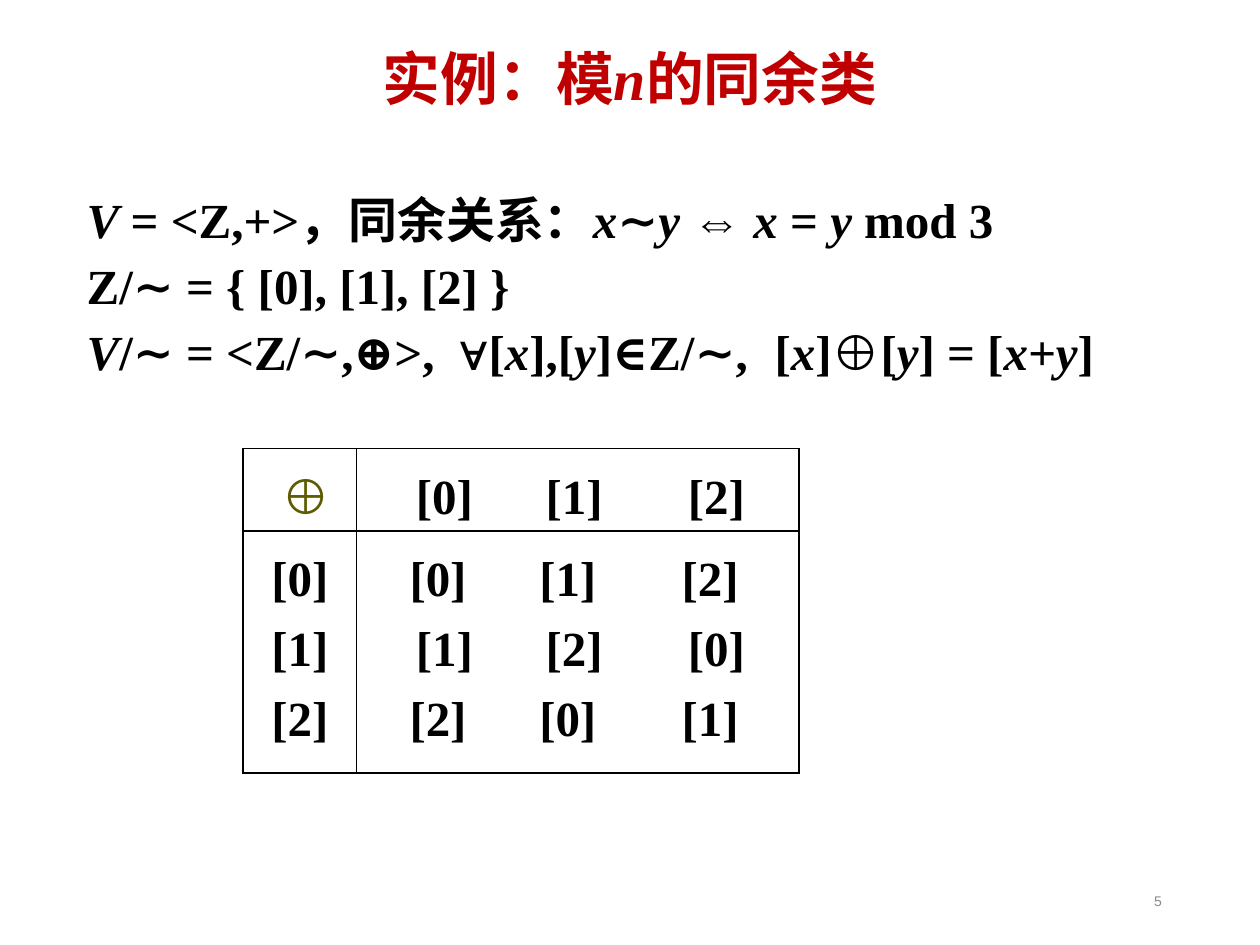
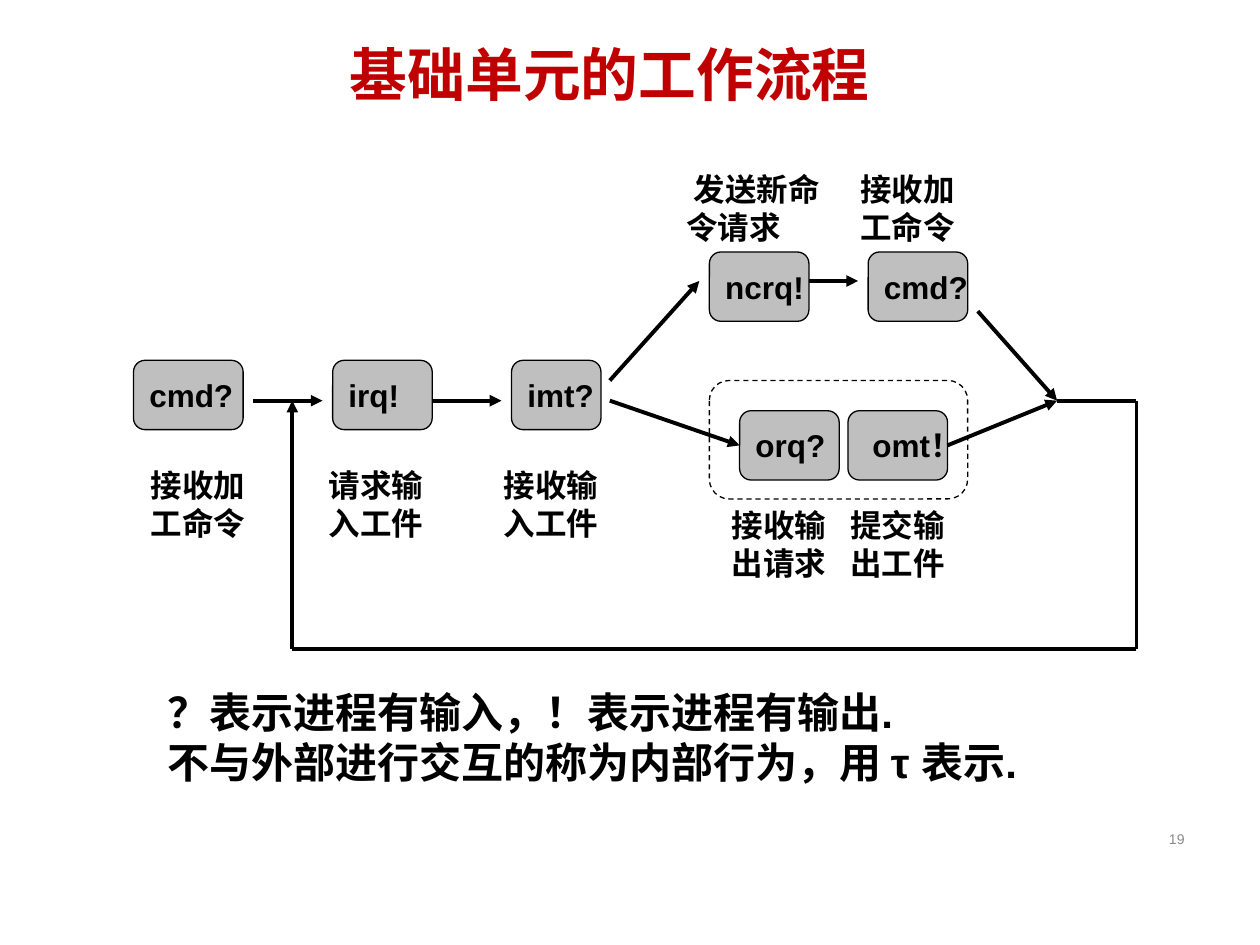
from dataclasses import dataclass
from itertools import pairwise

from lxml.etree import SubElement
from pptx import Presentation
from pptx.dml.color import RGBColor
from pptx.enum.dml import MSO_LINE
from pptx.enum.shapes import MSO_CONNECTOR, MSO_SHAPE
from pptx.enum.text import MSO_ANCHOR, MSO_AUTO_SIZE, PP_ALIGN
from pptx.oxml.ns import qn
from pptx.util import Emu, Pt

EMU_PER_PX = 9144
BLACK, RED, GREY, OLIVE, BOX_GREY = "000000", "C00000", "898989", "5E5C00", "BFBFBF"
ARIAL, CALIBRI, TIMES = "Arial", "Calibri", "Times New Roman"


@dataclass(frozen=True)
class Area:
    left: int
    top: int
    width: int
    height: int

    def emu(self) -> tuple:
        return tuple(px(value) for value in (self.left, self.top, self.width, self.height))


@dataclass(frozen=True)
class Style:
    font: str
    size: int
    color: str = BLACK
    bold: bool = True
    italic_font: str = TIMES


@dataclass(frozen=True)
class Step:
    name: str
    left: int
    top: int
    width: int = 79


@dataclass(frozen=True)
class Caption:
    text: str
    left: int
    top: int
    width: int


TITLE = Style(CALIBRI, 33, RED)
BODY = Style(TIMES, 28)
OPERATOR = Style(TIMES, 28, OLIVE)
LABEL = Style(ARIAL, 18)
NOTE = Style(ARIAL, 24)
NUMBER = Style(ARIAL, 8, GREY, False)

FORMULAS = (
    "*V *= <Z,+>，同余关系：*x*∼*y *⇔ *x *= *y *mod 3",
    "Z/∼ = { [0], [1], [2] }",
    "*V*/∼ = <Z/∼,⊕>,\t∀[*x*],[*y*]∈Z/∼,\t[*x*]⊕[*y*] = [*x+y*]",
)
FORMULA_TABS = (296, 546)
CLASSES = 3
COLUMN_TABS = (37, 140, 253)
TRAILING_SHIFT = 5

LINE_Y, UPPER_Y, LOOP_Y = 318, 223, 515
MERGE_X, LOOP_LEFT, LOOP_RIGHT = 839, 232, 902
STEPS = (
    Step("cmd?", 106, 286, 87),
    Step("irq!", 264, 286),
    Step("imt?", 406, 286, 71),
    Step("ncrq!", 563, 200),
    Step("cmd?", 689, 200),
    Step("orq?", 587, 326),
    Step(" omt！", 673, 326),
)
CAPTIONS = (
    Caption("接收加\n工命令", 110, 365, 107),
    Caption("请求输\n入工件", 251, 365, 96),
    Caption("接收输\n入工件", 390, 365, 110),
    Caption(" 发送新命\n令请求", 535, 130, 133),
    Caption("接收加\n工命令", 673, 130, 111),
    Caption("接收输\n出请求", 571, 397, 102),
    Caption("提交输\n出工件", 665, 397, 119),
)
ARROWS = (
    ((201, LINE_Y), (256, LINE_Y)),
    ((343, LINE_Y), (398, LINE_Y)),
    ((484, 302), (555, UPPER_Y)),
    ((642, UPPER_Y), (681, UPPER_Y)),
    ((776, 247), (MERGE_X, LINE_Y)),
)
LOOP = (
    (MERGE_X, LINE_Y),
    (LOOP_RIGHT, LINE_Y),
    (LOOP_RIGHT, LOOP_Y),
    (LOOP_LEFT, LOOP_Y),
    (LOOP_LEFT, LINE_Y),
)


def px(value: int) -> Emu:
    return Emu(value * EMU_PER_PX)


def rgb(value: str) -> RGBColor:
    return RGBColor.from_string(value)


def format_run(run, style: Style, italic: bool = False) -> None:
    run.font.name = style.italic_font if italic else style.font
    run.font.size = Pt(style.size)
    run.font.bold = style.bold
    run.font.italic = italic
    run.font.color.rgb = rgb(style.color)


def write_paragraph(paragraph, markup: str, style: Style) -> None:
    for index, part in enumerate(markup.split("*")):
        if part:
            run = paragraph.add_run()
            run.text = part
            format_run(run, style, italic=index % 2 == 1)


def add_tabs(paragraph, stops: tuple) -> None:
    tab_list = SubElement(paragraph._p.get_or_add_pPr(), qn("a:tabLst"))
    for stop in stops:
        SubElement(tab_list, qn("a:tab"), pos=str(px(stop)), algn="l")


def add_text(slide, area: Area, lines: tuple, style: Style, alignment=PP_ALIGN.LEFT,
             anchor=MSO_ANCHOR.TOP, spacing: float = 1.0, before: float = 0,
             tabs: tuple = (), grow: bool = False) -> None:
    text_frame = slide.shapes.add_textbox(*area.emu()).text_frame
    text_frame.word_wrap = True
    text_frame.vertical_anchor = anchor
    if grow:
        text_frame.auto_size = MSO_AUTO_SIZE.SHAPE_TO_FIT_TEXT
    for index, line in enumerate(lines):
        paragraph = text_frame.add_paragraph() if index else text_frame.paragraphs[0]
        paragraph.alignment = alignment
        paragraph.line_spacing = spacing
        if index and before:
            paragraph.space_before = Pt(before)
        if "\t" in line:
            add_tabs(paragraph, tabs)
        write_paragraph(paragraph, line, style)


def add_frame(presentation, title: str, title_area: Area, number: str, number_area: Area):
    slide = presentation.slides.add_slide(presentation.slide_layouts[6])
    add_text(slide, title_area, (title,), TITLE, PP_ALIGN.CENTER, MSO_ANCHOR.MIDDLE, 0.9)
    add_text(slide, number_area, (number,), NUMBER, PP_ALIGN.RIGHT, MSO_ANCHOR.MIDDLE)
    return slide


def add_borders(cell) -> None:
    properties = cell._tc.get_or_add_tcPr()
    for side in ("lnL", "lnR", "lnT", "lnB"):
        line = SubElement(properties, qn(f"a:{side}"), w=str(Pt(1)))
        fill = SubElement(line, qn("a:solidFill"))
        SubElement(fill, qn("a:srgbClr"), val=BLACK)


def fill_cell(cell, lines: list, style: Style, shifts: tuple = ()) -> None:
    add_borders(cell)
    cell.fill.background()
    cell.text_frame.text = "\n".join(lines)
    for index, paragraph in enumerate(cell.text_frame.paragraphs):
        paragraph.line_spacing = Pt(40)
        if shifts:
            paragraph.alignment = PP_ALIGN.LEFT
            add_tabs(paragraph, tuple(stop - shifts[index] for stop in COLUMN_TABS))
        else:
            paragraph.alignment = PP_ALIGN.CENTER
        for run in paragraph.runs:
            format_run(run, style)


def add_sum_table(slide) -> None:
    table = slide.shapes.add_table(2, 2, *Area(193, 356, 441, 255).emu()).table
    table.first_row = False
    table.horz_banding = False
    for column, width in zip(table.columns, (90, 351)):
        column.width = px(width)
    for row, height in zip(table.rows, (63, 192)):
        row.height = px(height)
    labels = [f"[{value}]" for value in range(CLASSES)]
    sums = ["".join(f"\t{labels[(row + column) % CLASSES]}" for column in range(CLASSES))
            for row in range(CLASSES)]
    fill_cell(table.cell(0, 0), [" ⊕"], OPERATOR)
    fill_cell(table.cell(0, 1), sums[:1], BODY, (0,))
    fill_cell(table.cell(1, 0), labels, BODY)
    fill_cell(table.cell(1, 1), sums, BODY, (TRAILING_SHIFT, 0, TRAILING_SHIFT))


def add_rounded(slide, area: Area):
    shape = slide.shapes.add_shape(MSO_SHAPE.ROUNDED_RECTANGLE, *area.emu())
    shape.shadow.inherit = False
    shape.fill.background()
    shape.line.color.rgb = rgb(BLACK)
    shape.line.width = Pt(0.75)
    return shape


def add_step(slide, step: Step):
    shape = add_rounded(slide, Area(step.left, step.top, step.width, 55))
    shape.fill.solid()
    shape.fill.fore_color.rgb = rgb(BOX_GREY)
    text_frame = shape.text_frame
    text_frame.text = step.name
    text_frame.word_wrap = False
    text_frame.vertical_anchor = MSO_ANCHOR.MIDDLE
    paragraph = text_frame.paragraphs[0]
    paragraph.alignment = PP_ALIGN.LEFT
    format_run(paragraph.runs[0], LABEL)
    return shape


def add_line(slide, start: tuple, end: tuple, arrow: bool = True):
    connector = slide.shapes.add_connector(
        MSO_CONNECTOR.STRAIGHT, *(px(value) for value in (*start, *end)))
    connector.line.color.rgb = rgb(BLACK)
    connector.line.width = Pt(2.25)
    properties = connector._element.spPr
    if arrow:
        SubElement(properties.find(qn("a:ln")), qn("a:tailEnd"), type="triangle")
    SubElement(properties, qn("a:effectLst"))
    return connector


def build_congruence_slide(presentation) -> None:
    slide = add_frame(presentation, "实例：模*n*的同余类", Area(50, 30, 900, 69),
                      "5", Area(707, 695, 225, 40))
    add_text(slide, Area(59, 151, 900, 184), FORMULAS, BODY,
             spacing=0.9, before=7.5, tabs=FORMULA_TABS)
    add_sum_table(slide)


def build_workflow_slide(presentation) -> None:
    slide = add_frame(presentation, "基础单元的工作流程", Area(15, 15, 938, 93),
                      "19", Area(717, 646, 233, 40))
    output_group = add_rounded(slide, Area(563, 302, 205, 94))
    output_group.line.dash_style = MSO_LINE.DASH
    boxes = {step.name.strip(): add_step(slide, step) for step in STEPS}
    for caption in CAPTIONS:
        add_text(slide, Area(caption.left, caption.top, caption.width, 70),
                 tuple(caption.text.split("\n")), LABEL, grow=True)
    for start, end in ARROWS:
        add_line(slide, start, end)
    add_line(slide, (484, LINE_Y), (587, 349)).end_connect(boxes["orq?"], 1)
    add_line(slide, (752, 357), (MERGE_X, LINE_Y)).begin_connect(boxes["omt！"], 3)
    for start, end in pairwise(LOOP):
        add_line(slide, start, end, arrow=end == LOOP[-1])
    add_text(slide, Area(123, 540, 778, 90),
             ("？表示进程有输入，！表示进程有输出.",
              "不与外部进行交互的称为内部行为，用 τ 表示."), NOTE, grow=True)


def main() -> None:
    presentation = Presentation()
    presentation.slide_width = px(1000)
    presentation.slide_height = px(750)
    build_congruence_slide(presentation)
    build_workflow_slide(presentation)
    presentation.save("out.pptx")


if __name__ == "__main__":
    main()
